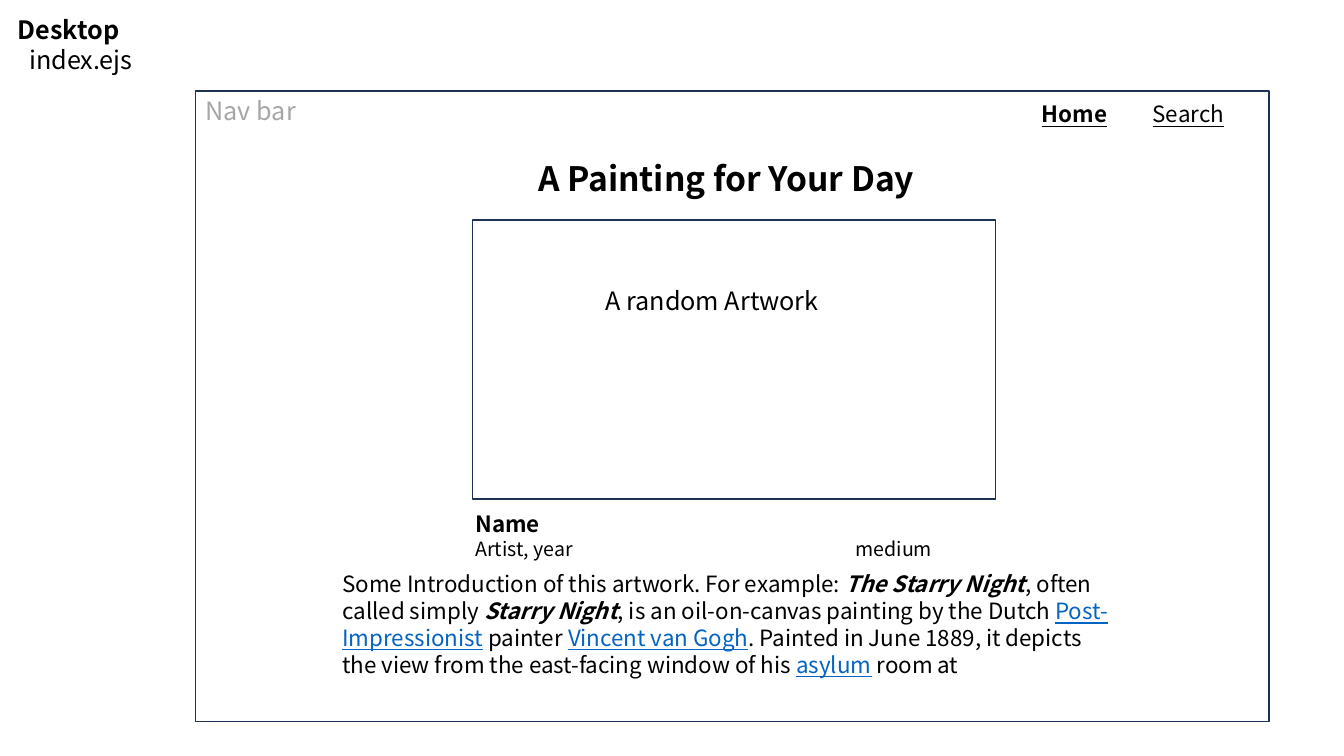
from dataclasses import dataclass

from lxml.etree import SubElement
from pptx import Presentation
from pptx.dml.color import RGBColor
from pptx.enum.shapes import MSO_SHAPE
from pptx.enum.text import MSO_ANCHOR, PP_ALIGN
from pptx.oxml.ns import qn
from pptx.util import Cm, Pt

FONT = "Noto Sans CJK SC"
BLACK, GREY, LINK, NAVY = "000000", "A6A6A6", "0563C1", "1E3256"


@dataclass
class Box:
    left: float
    top: float
    width: float
    height: float

    def lengths(self) -> tuple:
        return Cm(self.left), Cm(self.top), Cm(self.width), Cm(self.height)


@dataclass
class Label:
    box: Box
    text: str
    size: int = 18
    color: str = BLACK
    bold: bool = False
    underline: bool = False


def rgb(color: str) -> RGBColor:
    return RGBColor.from_string(color)


def add_text(paragraph, text: str, *, size: int = 16, color: str = BLACK,
             bold: bool = False, italic: bool = False, underline: bool = False) -> None:
    run = paragraph.add_run()
    run.text = text
    font = run.font
    font.name, font.size = FONT, Pt(size)
    font.bold, font.italic, font.underline = bold, italic, underline
    font.color.rgb = rgb(color)


def add_frame(slide, box: Box):
    frame = slide.shapes.add_shape(MSO_SHAPE.RECTANGLE, *box.lengths())
    frame.shadow.inherit = False
    frame.fill.background()
    frame.line.color.rgb = rgb(NAVY)
    frame.line.width = Pt(1)
    return frame


def add_text_frame(slide, box: Box):
    text_frame = slide.shapes.add_textbox(*box.lengths()).text_frame
    text_frame.word_wrap = True
    return text_frame


def add_label(slide, label: Label):
    text_frame = add_text_frame(slide, label.box)
    add_text(text_frame.paragraphs[0], label.text, size=label.size, color=label.color,
             bold=label.bold, underline=label.underline)
    return text_frame


def add_tab_stop(paragraph, position: float) -> None:
    tabs = SubElement(paragraph._p.get_or_add_pPr(), qn("a:tabLst"))
    SubElement(tabs, qn("a:tab"), pos=str(Cm(position)), algn="l")


PAGE = Box(4.93, 2.29, 27.05, 15.9)
ARTWORK = Box(11.91, 5.54, 13.18, 7.04)

LABELS = [
    Label(Box(PAGE.left, PAGE.top, PAGE.width, 1.27), "Nav bar", color=GREY),
    Label(Box(28.8, 2.41, 3.94, 0.94), "Search", size=16, underline=True),
    Label(Box(26.01, 2.41, 2.41, 0.94), "Home", size=16, bold=True, underline=True),
    Label(Box(13.31, 3.86, 10.01, 1.27), "A Painting for Your Day", size=24, bold=True),
]

TITLE = {"bold": True, "italic": True}
LINKED = {"color": LINK, "underline": True}
INTRODUCTION = [
    ("Some Introduction of this artwork. For example: ", {}),
    ("The Starry Night", TITLE),
    (", often called simply ", {}),
    ("Starry Night", TITLE),
    (", is an oil-on-canvas painting by the Dutch ", {}),
    ("Post-Impressionist", LINKED),
    (" painter ", {}),
    ("Vincent van Gogh", LINKED),
    (". Painted in June 1889, it depicts the view from the east-facing window of his ", {}),
    ("asylum", LINKED),
    (" room at", {}),
]


def main() -> None:
    presentation = Presentation()
    presentation.slide_width, presentation.slide_height = Cm(33.87), Cm(19.05)
    slide = presentation.slides.add_slide(presentation.slide_layouts[6])

    # Artwork placeholder and page outline
    artwork = add_frame(slide, ARTWORK).text_frame
    artwork.vertical_anchor = MSO_ANCHOR.TOP
    artwork.margin_left, artwork.margin_top = Cm(3.35), Cm(1.64)
    artwork.paragraphs[0].alignment = PP_ALIGN.LEFT
    add_text(artwork.paragraphs[0], "A random Artwork", size=18)
    add_frame(slide, PAGE)

    # View name and its template file
    view = add_label(slide, Label(Box(0.2, 0.23, 3.45, 1.8), "Desktop", bold=True))
    template = view.add_paragraph()
    template._p.get_or_add_pPr().set("marL", str(Cm(0.29)))
    add_text(template, "index.ejs", size=18)

    # Navigation and heading
    for label in LABELS:
        add_label(slide, label)

    # Introduction
    introduction = add_text_frame(slide, Box(8.38, 14.25, 19.89, 3)).paragraphs[0]
    for text, style in INTRODUCTION:
        add_text(introduction, text, **style)

    # Artwork caption
    caption = add_label(slide, Label(Box(11.73, 12.73, 13.18, 1.55), "Name", size=16, bold=True))
    details = caption.add_paragraph()
    add_tab_stop(details, 9.58)
    add_text(details, "Artist, year\tmedium", size=14)

    presentation.save("out.pptx")


if __name__ == "__main__":
    main()
